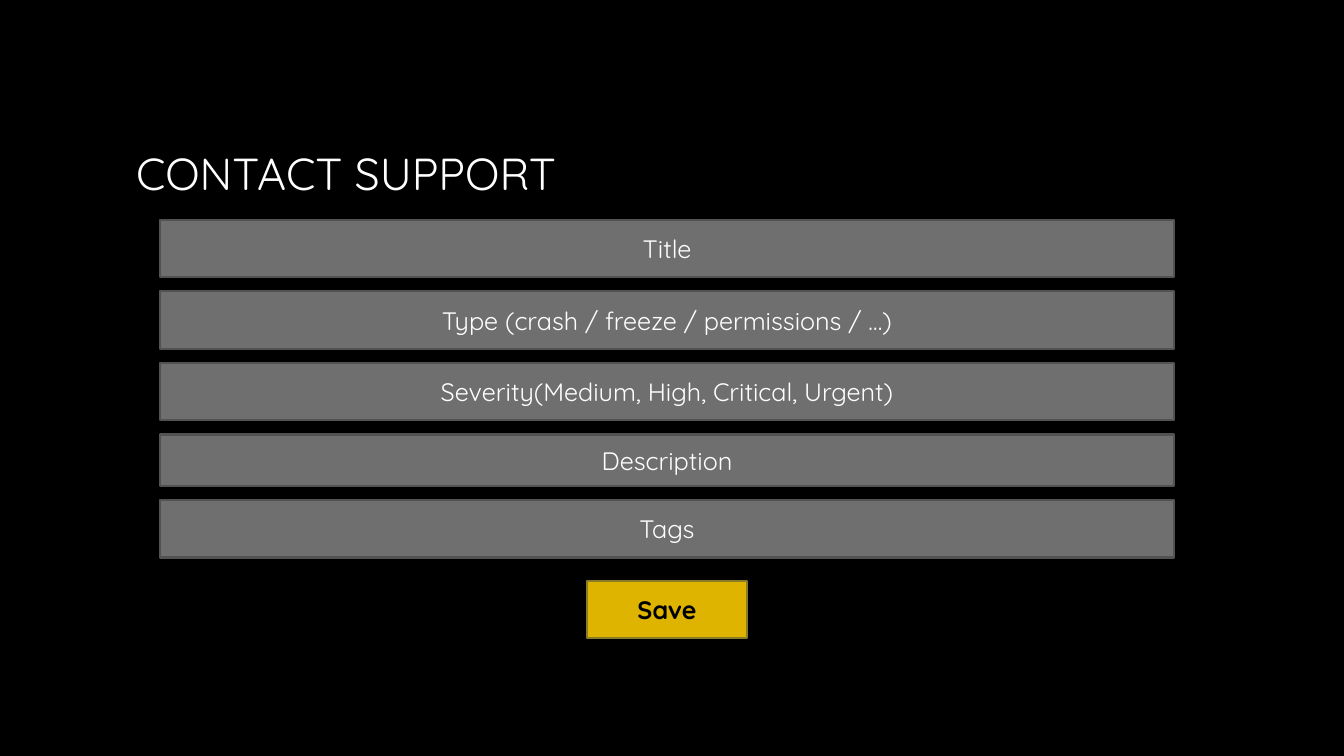
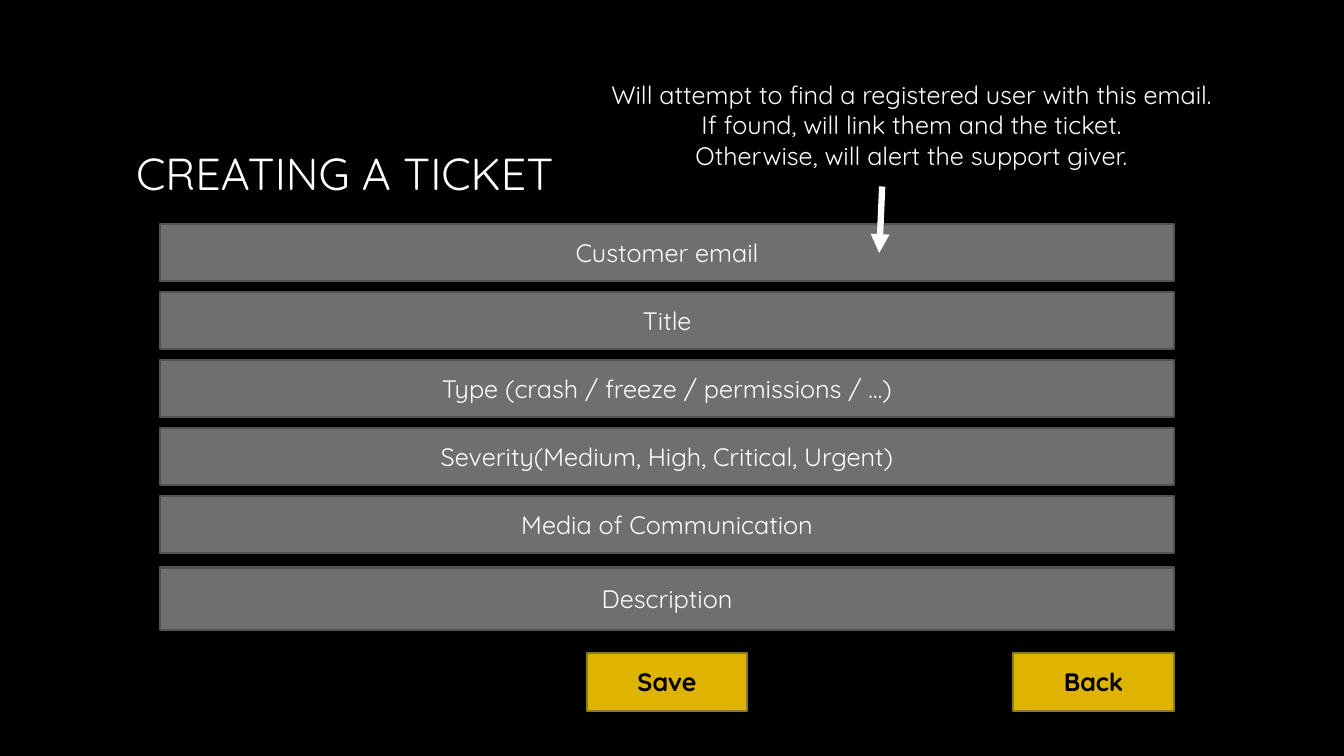
from pptx import Presentation
from pptx.dml.color import RGBColor
from pptx.enum.shapes import MSO_CONNECTOR, MSO_SHAPE
from pptx.enum.text import MSO_ANCHOR, PP_ALIGN
from pptx.oxml.ns import qn
from pptx.util import Inches, Pt
from lxml import etree

RECT, LINE = MSO_SHAPE.RECTANGLE, MSO_CONNECTOR.STRAIGHT
LEFT, MID, MIDDLE = PP_ALIGN.LEFT, PP_ALIGN.CENTER, MSO_ANCHOR.MIDDLE
WIDE, HIGH = Inches(13.33), Inches(7.5)
FONT = "Quicksand"
HUES = {"back": "000000", "text": "FFFFFF", "dark": "000000",
        "field": "6F6F6F", "edge": "525252",
        "gold": "DEB400", "rim": "897C27"}

# Grid of 100 columns by 100 rows; boxes are left, top, width, height
TITLE = (9.38, 8.93, 81.25, 27.73)
NOTE = (43.6, 9.87, 48.45, 13.47)
FORM_X, FORM_W = 11.93, 75.4
ROW_H, KEY_W = 7.6, 11.93


def hue(name):
    return RGBColor.from_string(HUES[name])


def cells(x, y):
    return int(WIDE * x / 100), int(HIGH * y / 100)


def span(box):
    return cells(*box[:2]) + cells(*box[2:])


def write(frame, lines, size=18, tint="text", align=MID, bold=False):
    frame.word_wrap = True
    frame.text = "\n".join(lines)
    for para in frame.paragraphs:
        para.alignment = align
        font = para.font
        font.name, font.size, font.bold = FONT, Pt(size), bold
        font.color.rgb = hue(tint)


def block(slide, box, text, fill, edge, tint="text", bold=False):
    shape = slide.shapes.add_shape(RECT, *span(box))
    shape.shadow.inherit = False
    shape.fill.solid()
    shape.fill.fore_color.rgb = hue(fill)
    shape.line.color.rgb = hue(edge)
    shape.line.width = Pt(1.5)
    shape.text_frame.vertical_anchor = MIDDLE
    write(shape.text_frame, [text], tint=tint, bold=bold)


def start(deck, text):
    slide = deck.slides.add_slide(deck.slide_layouts[5])
    title = slide.shapes.title
    title.left, title.top, title.width, title.height = span(TITLE)
    title.text_frame.vertical_anchor = MIDDLE
    write(title.text_frame, [text], size=32, align=LEFT)
    return slide


def form(slide, top, gap, fields):
    """Stack fields of (text, height, extra space above)."""
    for text, high, lead in fields:
        top += lead
        block(slide, (FORM_X, top, FORM_W, high), text, "field", "edge")
        top += high + gap


def keys(slide, top, items):
    """Place buttons at a share of the form's free width."""
    for text, share in items:
        left = FORM_X + share * (FORM_W - KEY_W)
        block(slide, (left, top, KEY_W, ROW_H), text, "gold", "rim",
              "dark", True)


def note(slide, lines):
    box = slide.shapes.add_textbox(*span(NOTE))
    write(box.text_frame, lines)


def arrow(slide, tail, head):
    line = slide.shapes.add_connector(LINE, *cells(*tail), *cells(*head))
    line.line.color.rgb = hue("text")
    line.line.width = Pt(4.5)
    stroke = line.line._get_or_add_ln()
    etree.SubElement(stroke, qn("a:tailEnd"), type="triangle")
    etree.SubElement(line._element.spPr, qn("a:effectLst"))


def support(deck):
    slide = start(deck, "CONTACT SUPPORT")
    form(slide, 29.07, 1.87, [
        ("Title", ROW_H, 0),
        ("Type (crash / freeze / permissions / …)", ROW_H, 0),
        ("Severity(Medium, High, Critical, Urgent)", ROW_H, 0),
        ("Description", 6.8, 0),
        ("Tags", ROW_H, 0)])
    keys(slide, 76.8, [("Save", 0.5)])


def ticket(deck):
    slide = start(deck, "CREATING A TICKET")
    form(slide, 29.6, 1.4, [
        ("Customer email", ROW_H, 0),
        ("Title", ROW_H, 0),
        ("Type (crash / freeze / permissions / …)", ROW_H, 0),
        ("Severity(Medium, High, Critical, Urgent)", ROW_H, 0),
        ("Media of Communication", ROW_H, 0),
        ("Description", 8.27, 0.47)])
    keys(slide, 86.4, [("Save", 0.5), ("Back", 1)])
    note(slide, ["Will attempt to find a registered user with this email.",
                 "If found, will link them and the ticket.",
                 "Otherwise, will alert the support giver."])
    arrow(slide, (65.64, 24.67), (65.42, 33.47))


def main():
    deck = Presentation()
    deck.slide_width, deck.slide_height = WIDE, HIGH
    # Shared background
    fill = deck.slide_master.background.fill
    fill.solid()
    fill.fore_color.rgb = hue("back")
    support(deck)
    ticket(deck)
    deck.save("out.pptx")


if __name__ == "__main__":
    main()
